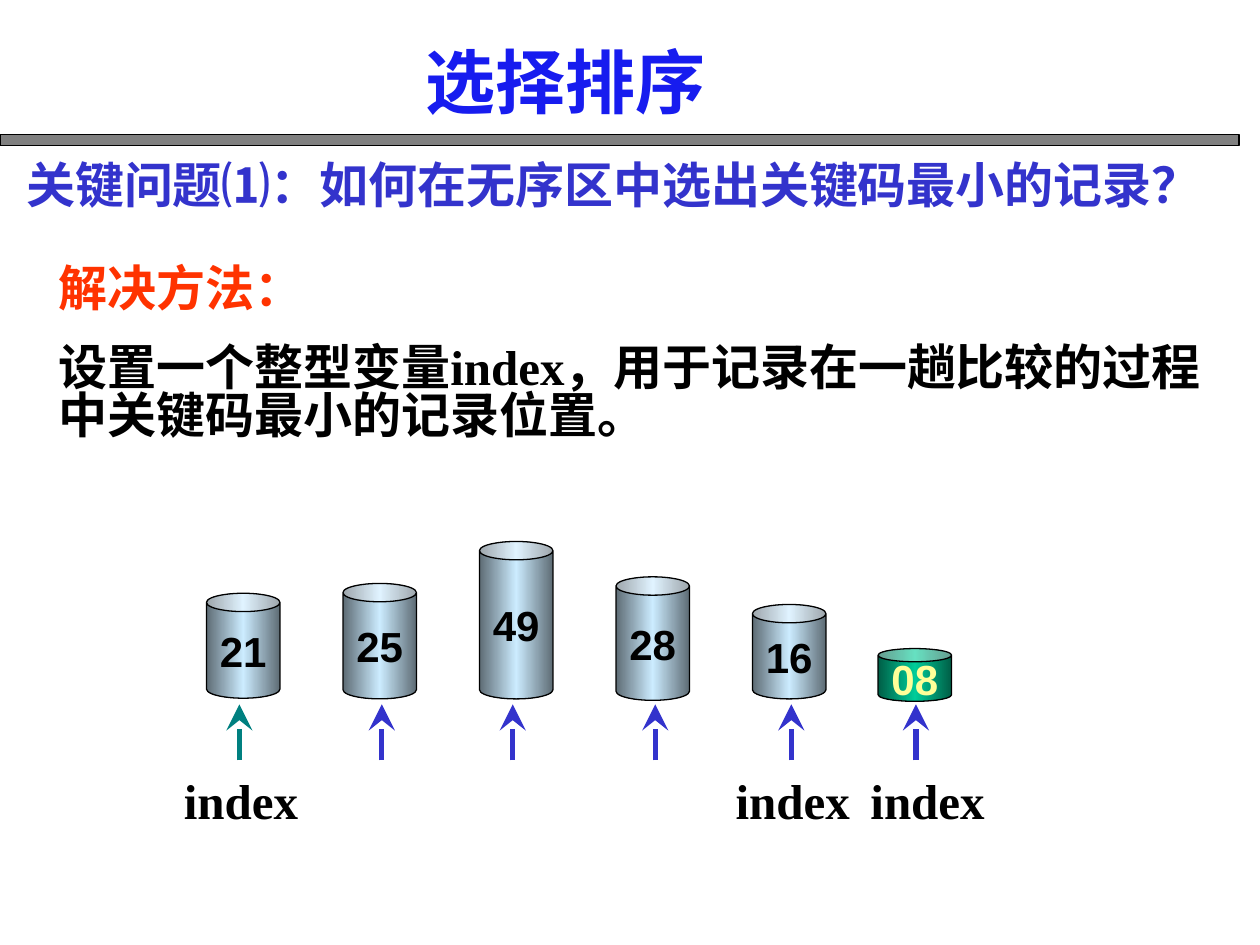
from lxml.etree import SubElement
from pptx import Presentation
from pptx.dml.color import RGBColor
from pptx.enum.shapes import MSO_CONNECTOR as CONN, MSO_SHAPE as SHAPE
from pptx.enum.text import MSO_ANCHOR as ANCHOR, PP_ALIGN as ALIGN
from pptx.oxml import parse_xml
from pptx.oxml.ns import nsdecls, qn
from pptx.util import Pt

THEME = {
    "serif": "Times New Roman", "sans": "Arial", "cjk": "Noto Sans CJK SC",
    "title": 40, "body": 28, "number": 24,
    "ink": "000000", "blue": "3333CC", "bright": "171CEF", "red": "FF3300",
    "teal": "008080", "grey": "808080", "yellow": "FFFF99",
    "steel": ("5E6C75", "CCECFF", "5E6C75"),
    "green": ("005E46", "00CC99", "005E46"),
}

TITLE = [[("选择排序", "cjk", "bright")]]
QUESTION = [[("关键问题⑴：", "cjk", "blue"),
             ("如何在无序区中选出关键码最小的记录？", "sans", "blue")]]
METHOD = [
    [("解决方法：", "serif", "red")],
    [("设置一个整型变量index，用于记录在一趟比较的过程中关键码", "serif", "ink"),
     ("最小的记录位置。", "cjk", "ink")],
]
LABEL = [[("index", "serif", "ink")]]

# value, left, top, height, gradient, text colour, arrow x, arrow colour
RECORDS = [
    ("21", 118, 339, 60, "steel", "ink", 136.8, "teal"),
    ("25", 196, 333.4, 66, "steel", "ink", 218.2, "blue"),
    ("49", 274, 309.4, 90, "steel", "ink", 293, "blue"),
    ("28", 352, 329.6, 70.6, "steel", "ink", 374.4, "blue"),
    ("16", 430, 345.4, 54, "steel", "ink", 452.2, "blue"),
    ("08", 501.8, 370.6, 30.2, "green", "yellow", 523.4, "blue"),
]
LABEL_LEFTS = [98, 413.3, 490.3]
CAN_W, ARROW_TOP, ARROW_BOTTOM, LABEL_TOP = 42, 402.5, 434.5, 433.4


def rgb(name):
    return RGBColor.from_string(THEME[name])


def style(r, font, size, color):
    r.font.name, r.font.size, r.font.bold = THEME[font], Pt(THEME[size]), True
    r.font.color.rgb = rgb(color)
    SubElement(r.font._element, qn("a:ea"), typeface=THEME["cjk"])


def add_text(slide, box, paragraphs, size="body", spacing=None):
    tf = slide.shapes.add_textbox(*map(Pt, box)).text_frame
    tf.word_wrap = True
    tf.margin_top = Pt(3.6 + 0.11 * THEME[size])
    for i, runs in enumerate(paragraphs):
        p = tf.add_paragraph() if i else tf.paragraphs[0]
        if i:
            p.space_before = Pt(17.5)
        if spacing:
            p.line_spacing = spacing
        for text, font, color in runs:
            r = p.add_run()
            r.text = text
            style(r, font, size, color)
    return tf


def add_text_shadow(r):
    fill = r.font._element.find(qn("a:solidFill"))
    fill.addnext(parse_xml(
        f'<a:effectLst {nsdecls("a")}><a:outerShdw dist="25400" dir="2700000">'
        f'<a:srgbClr val="{THEME["grey"]}"/></a:outerShdw></a:effectLst>'))


def add_outline(s):
    s.shadow.inherit = False
    s.line.color.rgb, s.line.width = rgb("ink"), Pt(0.75)


def add_can(slide, value, left, top, height, gradient, color):
    s = slide.shapes.add_shape(SHAPE.CAN, Pt(left), Pt(top), Pt(CAN_W), Pt(height))
    s.adjustments[0] = 0.25
    add_outline(s)
    stops = "".join(f'<a:gs pos="{i * 50000}"><a:srgbClr val="{c}"/></a:gs>'
                    for i, c in enumerate(THEME[gradient]))
    s._element.spPr.find(qn("a:prstGeom")).addnext(parse_xml(
        f'<a:gradFill {nsdecls("a")} rotWithShape="1"><a:gsLst>{stops}</a:gsLst>'
        '<a:lin ang="0" scaled="0"/></a:gradFill>'))
    tf = s.text_frame
    tf.text, tf.word_wrap, tf.vertical_anchor = value, False, ANCHOR.MIDDLE
    p = tf.paragraphs[0]
    p.alignment = ALIGN.CENTER
    style(p.runs[0], "sans", "number", color)


def add_arrow(slide, x, color):
    s = slide.shapes.add_connector(
        CONN.STRAIGHT, Pt(x), Pt(ARROW_BOTTOM), Pt(x), Pt(ARROW_TOP))
    s.line.color.rgb, s.line.width = rgb(color), Pt(3)
    SubElement(s.line._get_or_add_ln(), qn("a:tailEnd"), type="stealth", w="lg", len="lg")
    SubElement(s._element.spPr, qn("a:effectLst"))


def main():
    """Build the selection sort slide."""
    prs = Presentation()
    prs.slide_width, prs.slide_height = Pt(720), Pt(540)
    slide = prs.slides.add_slide(prs.slide_layouts[6])

    rule = slide.shapes.add_shape(SHAPE.RECTANGLE, Pt(0), Pt(77), Pt(708), Pt(6))
    rule.fill.solid()
    rule.fill.fore_color.rgb = rgb("grey")
    add_outline(rule)

    add_text(slide, (26.6, 146.2, 680.4, 126), METHOD, spacing=0.82)
    title = add_text(slide, (236.2, 22.3, 228.2, 55.4), TITLE, "title", 0.82)
    add_text_shadow(title.paragraphs[0].runs[0])
    add_text(slide, (7.9, 87.8, 692, 41), QUESTION, spacing=0.82)

    for *can, x, color in RECORDS:
        add_can(slide, *can)
        add_arrow(slide, x, color)
    for left in LABEL_LEFTS:
        add_text(slide, (left, LABEL_TOP, 82, 41), LABEL)
    prs.save("out.pptx")


if __name__ == "__main__":
    main()
